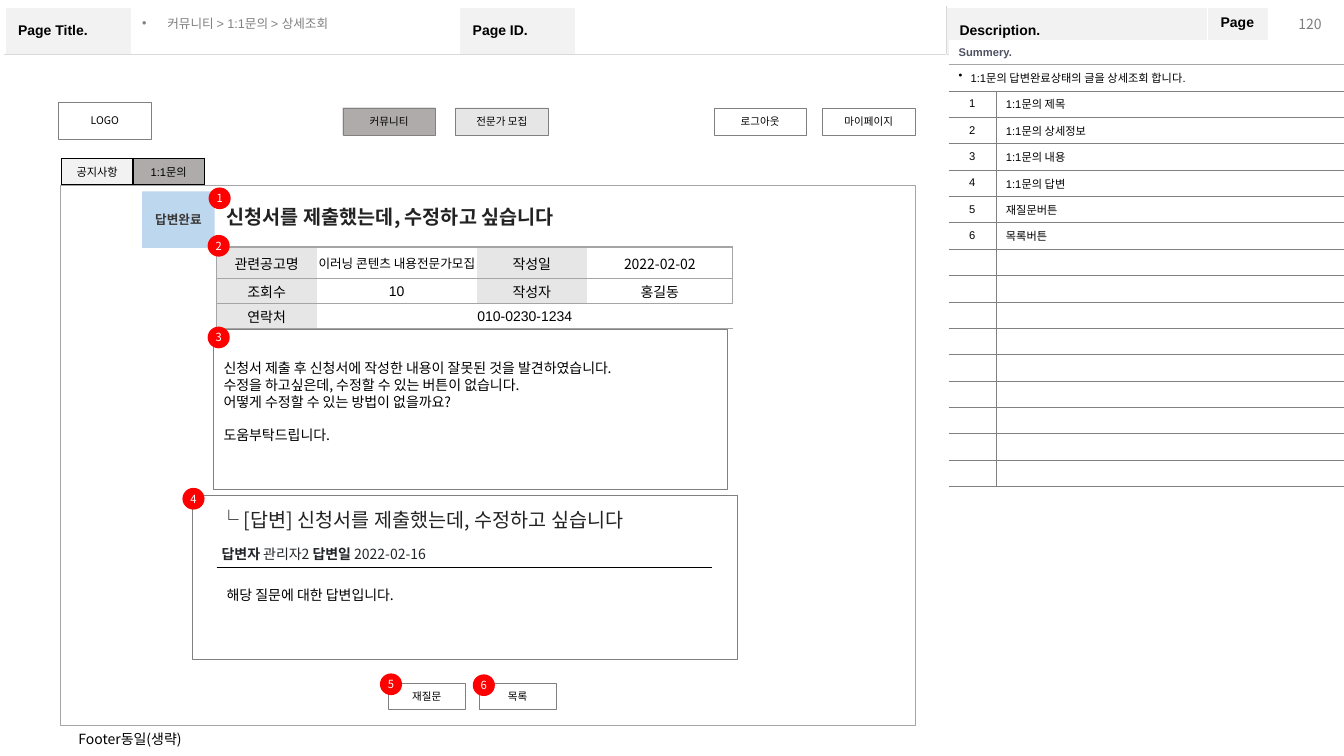
import lxml.etree
import pptx
import pptx.dml.color
import pptx.enum.shapes
import pptx.enum.text
import pptx.oxml.ns
import pptx.util

Pt = pptx.util.Pt
qn = pptx.oxml.ns.qn
SHAPES = pptx.enum.shapes.MSO_SHAPE
ALIGN = pptx.enum.text.PP_ALIGN
ANCHOR = pptx.enum.text.MSO_ANCHOR
KOREAN = "Noto Sans CJK KR"
LATIN = "Arial"
PLAIN_TABLE = "{2D5ABB26-0587-4C30-8999-92F81FD0307C}"
COLORS = {
    "white": "FFFFFF", "black": "000000", "panel": "F2F2F2", "rule": "D9D9D9",
    "number": "7F7F7F", "gray": "808080", "summary": "4E5263", "summary_rule": "A6A6A6",
    "frame": "A5A5A5", "active": "AFABAB", "label": "E7E6E6", "status": "BDD7EE",
    "status_text": "3B3838", "heading": "222222", "meta": "212529", "badge": "FF0000",
}
SCREEN_NOTES = ["1:1문의 제목", "1:1문의 상세정보", "1:1문의 내용", "1:1문의 답변", "재질문버튼", "목록버튼"]
NOTE_ROWS = 15
BADGES = [("1", 149, 133.9), ("2", 148.3, 167.8), ("3", 148.3, 233.3),
          ("5", 271.4, 481), ("6", 337.7, 481.7), ("4", 130.3, 348.5)]
BUTTONS = [("LOGO", 41.8, 72.7, 66.2, 26.6, "white"),
           ("재질문", 277.2, 488.2, 55.4, 18.7, "white"),
           ("목록", 342, 488.2, 55.4, 18.7, "white"),
           ("커뮤니티", 244.8, 77, 66.2, 19.4, "active"),
           ("전문가 모집", 325.4, 77, 66.2, 19.4, "label"),
           ("로그아웃", 509.8, 77, 66.2, 19.4, "white"),
           ("마이페이지", 587.5, 77, 66.2, 19.4, "white")]


def rgb(name):
    """Return the named colour."""
    return pptx.dml.color.RGBColor.from_string(COLORS[name])


def style(paragraph, size, color="black", bold=None, align=ALIGN.LEFT, face=KOREAN):
    """Format a whole paragraph, including its East Asian font."""
    paragraph.alignment = align
    font = paragraph.font
    font.size, font.bold, font.name = Pt(size), bold, face
    font.color.rgb = rgb(color)
    lxml.etree.SubElement(font._rPr, qn("a:ea"), typeface=KOREAN)
    if not paragraph.runs:
        paragraph._p.get_or_add_endParaRPr().set("sz", str(size * 100))


def add_bullet(paragraph, indent):
    """Give a paragraph a hanging bullet."""
    properties = paragraph._p.get_or_add_pPr()
    properties.set("marL", str(Pt(indent)))
    properties.set("indent", str(-Pt(indent)))
    lxml.etree.SubElement(properties, qn("a:buChar"), char="•")


def set_margins(holder, left, top, right, bottom):
    """Set the four inner margins of a cell or text frame."""
    holder.margin_left, holder.margin_top = Pt(left), Pt(top)
    holder.margin_right, holder.margin_bottom = Pt(right), Pt(bottom)


def place(shape, left, top, width, height):
    """Move and size a placeholder."""
    shape.left, shape.top, shape.width, shape.height = map(Pt, (left, top, width, height))


def add_text(slide, box, text, size, color="black", align=ALIGN.LEFT):
    """Add a one-paragraph text box and return its paragraph."""
    frame = slide.shapes.add_textbox(*map(Pt, box)).text_frame
    frame.word_wrap = True
    paragraph = frame.paragraphs[0]
    paragraph.text = text
    style(paragraph, size, color, align=align)
    return paragraph


def add_box(slide, box, fill=None, line=None, weight=0.25, kind=SHAPES.RECTANGLE):
    """Add a flat shape with an optional fill and outline."""
    shape = slide.shapes.add_shape(kind, *map(Pt, box))
    shape.shadow.inherit = False
    if kind == SHAPES.ROUNDED_RECTANGLE:
        shape.adjustments[0] = 0
    if fill:
        shape.fill.solid()
        shape.fill.fore_color.rgb = rgb(fill)
    else:
        shape.fill.background()
    if line:
        shape.line.color.rgb = rgb(line)
        shape.line.width = Pt(weight)
    else:
        shape.line.fill.background()
    return shape


def add_label(shape, text, size, color="black", bold=None):
    """Centre a short label in a shape."""
    frame = shape.text_frame
    frame.word_wrap = False
    frame.vertical_anchor = ANCHOR.MIDDLE
    set_margins(frame, 0, 0, 0, 0)
    frame.text = text
    style(frame.paragraphs[0], size, color, bold, ALIGN.CENTER)


def add_table(slide, left, top, widths, heights):
    """Add an unstyled table with the given column widths and row heights."""
    table = slide.shapes.add_table(len(heights), len(widths), Pt(left), Pt(top),
                                   Pt(sum(widths)), Pt(sum(heights))).table
    table.first_row = table.horz_banding = False
    table._tbl.tblPr.find(qn("a:tableStyleId")).text = PLAIN_TABLE
    for column, width in zip(table.columns, widths):
        column.width = Pt(width)
    for row, height in zip(table.rows, heights):
        row.height = Pt(height)
    return table


def fill_cell(cell, text, size, margins, fill=None, borders=None, bullet=None, **look):
    """Write, fill and outline one cell; borders map sides to (colour, width)."""
    properties = cell._tc.get_or_add_tcPr()
    for side in "LRTB":
        if side in (borders or {}):
            color, width = borders[side]
            line = lxml.etree.SubElement(properties, qn("a:ln" + side), w=str(Pt(width)))
            solid = lxml.etree.SubElement(line, qn("a:solidFill"))
            lxml.etree.SubElement(solid, qn("a:srgbClr"), val=COLORS[color])
    if fill:
        cell.fill.solid()
        cell.fill.fore_color.rgb = rgb(fill)
    else:
        cell.fill.background()
    cell.vertical_anchor = ANCHOR.MIDDLE
    set_margins(cell, *margins)
    paragraph = cell.text_frame.paragraphs[0]
    if text:
        paragraph.text = text
    if bullet:
        add_bullet(paragraph, bullet)
    style(paragraph, size, **look)


def add_page_grid(slide):
    """Add the page header and the divider beside the description."""
    table = add_table(slide, 3.6, 5, [90.7, 234, 82.8, 265, 186.5, 43.9, 49], [33.6, 479.5])
    headers = ["Page Title.", "", "Page ID.", "", "Description.", "Page.", ""]
    white, rule = ("white", 1), ("rule", 0.25)
    for row, texts in enumerate([headers, [""] * 7]):
        for column, text in enumerate(texts):
            borders = {"L": rule if column == 4 else white, "R": rule if column == 3 else white,
                       "T": rule if row else white, "B": white if row else rule}
            fill_cell(table.cell(row, column), text, 10, (9.4, 5, 9.4, 5),
                      "panel" if text else None, borders, bold=True, face=LATIN)
    table.cell(1, 0).merge(table.cell(1, 3))
    table.cell(1, 4).merge(table.cell(1, 6))


def add_description(slide):
    """Add the summary and the numbered screen notes."""
    table = add_table(slide, 677.5, 28.8, [33.8, 249.1], [16.1, 19.3] + [18.84] * NOTE_ROWS)
    margins = (7.2, 3.6, 7.2, 3.6)
    gray, pale = ("gray", 0.25), ("summary_rule", 0.25)
    for row in (0, 1):
        table.cell(row, 0).merge(table.cell(row, 1))
    fill_cell(table.cell(0, 0), "Summery.", 8, margins, "white", {"B": pale},
              color="summary", bold=True, face=LATIN)
    fill_cell(table.cell(1, 0), "1:1문의 답변완료상태의 글을 상세조회 합니다.", 8, margins,
              borders={"T": pale, "B": gray}, bullet=8.6, align=ALIGN.JUSTIFY, face=LATIN)
    for index in range(NOTE_ROWS):
        used = index < len(SCREEN_NOTES)
        fill_cell(table.cell(index + 2, 0), str(index + 1) if used else "", 8, margins,
                  borders=dict.fromkeys("RTB", gray), align=ALIGN.CENTER, face=LATIN)
        fill_cell(table.cell(index + 2, 1), SCREEN_NOTES[index] if used else "", 8, margins,
                  borders=dict.fromkeys("LTB", gray), align=ALIGN.JUSTIFY, face=LATIN)


def add_tabs(slide):
    """Add the two board tabs."""
    table = add_table(slide, 43.9, 113, [51.1, 51.1], [18.7])
    for column, (text, fill) in enumerate([("공지사항", "panel"), ("1:1문의", "active")]):
        fill_cell(table.cell(0, column), text, 8, (0, 0, 0, 0), fill,
                  dict.fromkeys("LRTB", ("black", 1)), align=ALIGN.CENTER, face=LATIN)


def add_inquiry_details(slide):
    """Add the table of inquiry details."""
    table = add_table(slide, 154.8, 176.4, [71.3, 114.5, 78.5, 104.4], [22.3, 18, 18])
    rows = [["관련공고명", "이러닝 콘텐츠 내용전문가모집", "작성일", "2022-02-02"],
            ["조회수", "10", "작성자", "홍길동"],
            ["연락처", "010-0230-1234", "", ""]]
    for row, texts in enumerate(rows):
        for column, text in enumerate(texts):
            sides = "TB" + {0: "L", 3: "R"}.get(column, "")
            is_label = column % 2 == 0 and text
            fill_cell(table.cell(row, column), text, 9 if (row, column) == (0, 1) else 10,
                      (0.7, 0.7, 0.7, 0), "label" if is_label else "white",
                      dict.fromkeys(sides, ("frame", 1)), align=ALIGN.CENTER,
                      face=KOREAN if row == 0 and column > 1 else LATIN)
    table.cell(2, 1).merge(table.cell(2, 3))


def add_question(slide):
    """Add the box with the question."""
    box = add_box(slide, (152.6, 235.4, 367.2, 114.5), "white", "gray", 0.75, SHAPES.ROUNDED_RECTANGLE)
    frame = box.text_frame
    frame.word_wrap = True
    frame.vertical_anchor = ANCHOR.TOP
    set_margins(frame, 7.2, 21.4, 7.2, 3.6)
    frame.text = ("신청서 제출 후 신청서에 작성한 내용이 잘못된 것을 발견하였습니다.\n"
                  "수정을 하고싶은데, 수정할 수 있는 버튼이 없습니다.\n"
                  "어떻게 수정할 수 있는 방법이 없을까요?\n도움부탁드립니다.")
    for paragraph in frame.paragraphs:
        style(paragraph, 10)
    frame.paragraphs[-1].space_before = Pt(12)


def add_answer(slide):
    """Add the answer with its heading, author line and divider."""
    add_text(slide, (149.8, 359.3, 365, 24.5), "└ [답변] 신청서를 제출했는데, 수정하고 싶습니다", 14, "heading")
    author = add_text(slide, (151.2, 385.9, 267.1, 19.4), "", 10, "meta")
    for index, text in enumerate(["답변자", " 관리자2 ", "답변일 ", "2022-02-16"]):
        run = author.add_run()
        run.text = text
        run.font.bold = index % 2 == 0
    add_text(slide, (154.8, 415.4, 160, 31.7), "해당 질문에 대한 답변입니다.", 10)
    divider = slide.shapes.add_connector(pptx.enum.shapes.MSO_CONNECTOR.STRAIGHT,
                                         Pt(154.8), Pt(405.4), Pt(508.3), Pt(405.4))
    divider.line.color.rgb = rgb("black")
    divider.line.width = Pt(0.5)
    lxml.etree.SubElement(divider._element.spPr, qn("a:effectLst"))
    add_box(slide, (137.5, 354.2, 389.5, 116.6), None, "gray", 0.75, SHAPES.ROUNDED_RECTANGLE)


def fill_placeholders(slide):
    """Write the inquiry title and the breadcrumb."""
    title, breadcrumb = slide.shapes.title, slide.placeholders[1]
    place(title, 154.8, 142.6, 273.6, 24.5)
    place(breadcrumb, 94.3, 8.6, 233.3, 17.3)
    title.text_frame.text = "신청서를 제출했는데, 수정하고 싶습니다"
    breadcrumb.text_frame.text = "커뮤니티 > 1:1문의 > 상세조회"
    for shape in (title, breadcrumb):
        shape.text_frame.auto_size = pptx.enum.text.MSO_AUTO_SIZE.NONE
        shape.text_frame.vertical_anchor = ANCHOR.MIDDLE
    style(title.text_frame.paragraphs[0], 14, "heading", True)
    trail = breadcrumb.text_frame.paragraphs[0]
    trail.line_spacing, trail.space_before = 0.9, Pt(0)
    add_bullet(trail, 18)
    style(trail, 9, "gray", face=LATIN)


def main():
    """Build the inquiry detail slide."""
    deck = pptx.Presentation()
    deck.slide_width, deck.slide_height = Pt(960), Pt(540)
    slide = deck.slides.add_slide(deck.slide_layouts[1])
    fill_placeholders(slide)
    add_page_grid(slide)
    add_text(slide, (907.9, 7.2, 43.2, 21.6), "120", 10, "number", ALIGN.RIGHT)
    add_description(slide)
    add_box(slide, (43.2, 132.5, 610.6, 385.9), None, "frame", 0.75)
    add_text(slide, (49, 518.4, 151.2, 19.4), "Footer동일(생략)", 10)
    add_tabs(slide)
    add_label(add_box(slide, (101.5, 136.8, 51.8, 40.3), "status"), "답변완료", 9, "status_text", True)
    add_inquiry_details(slide)
    add_question(slide)
    add_answer(slide)
    for text, left, top, width, height, fill in BUTTONS:
        add_label(add_box(slide, (left, top, width, height), fill, "gray"), text, 7.5)
    for number, left, top in BADGES:
        add_label(add_box(slide, (left, top, 15.8, 15.5), "badge", kind=SHAPES.OVAL), number, 8, "white")
    deck.save("out.pptx")


if __name__ == "__main__":
    main()
